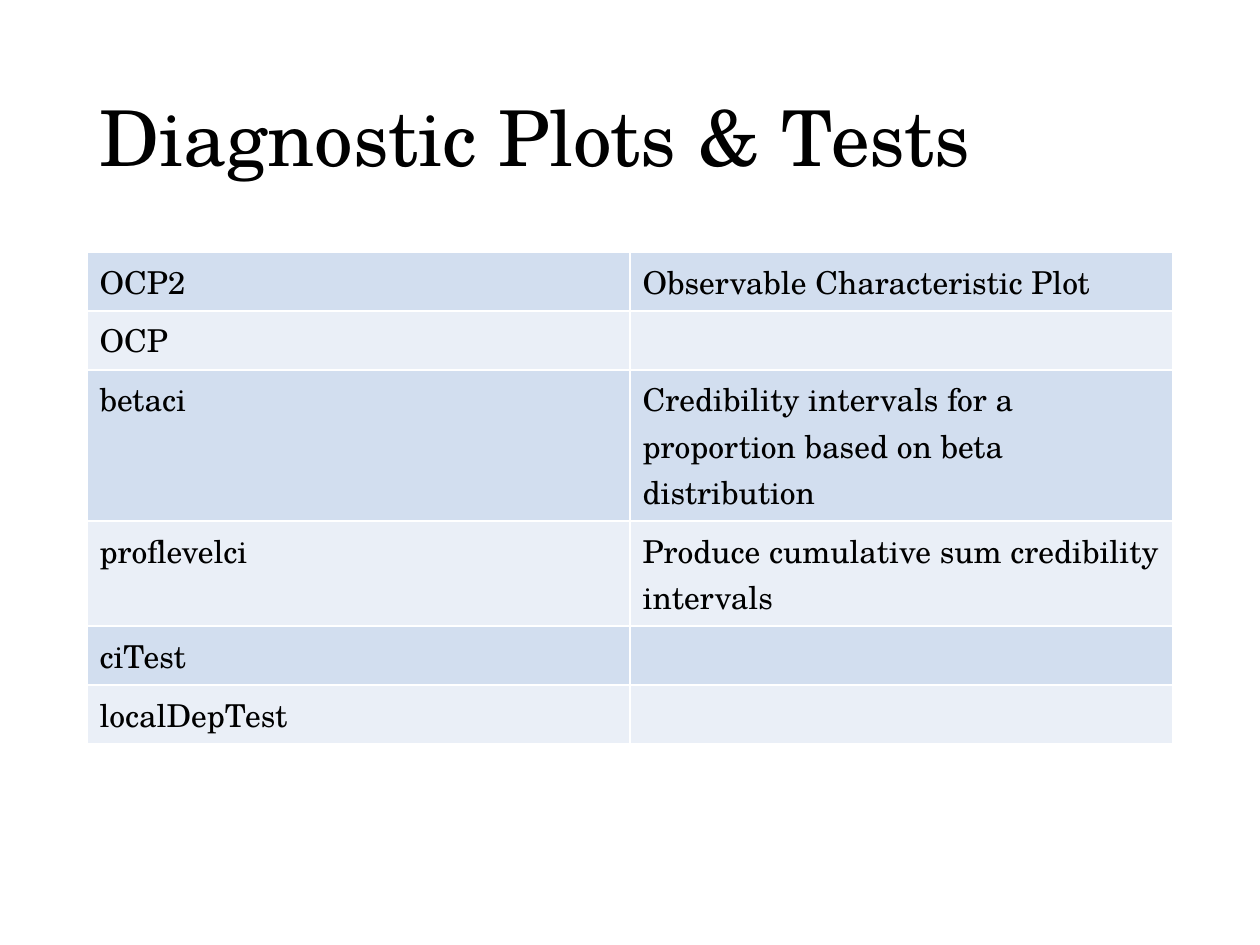
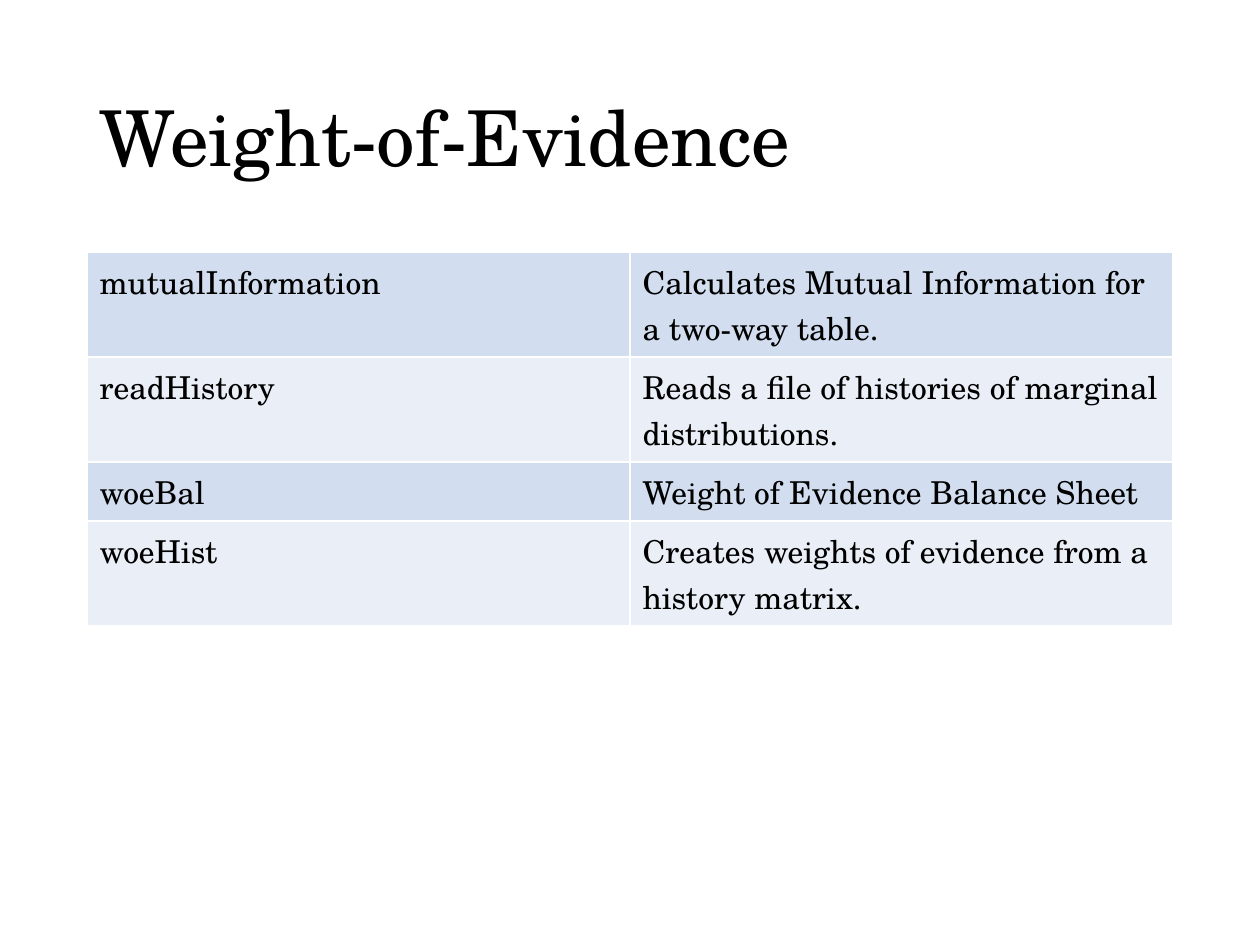
from dataclasses import dataclass

from lxml.etree import SubElement
from pptx import Presentation
from pptx.dml.color import RGBColor as RGB
from pptx.enum.text import MSO_ANCHOR as ANCHOR, MSO_AUTO_SIZE as AUTO, PP_ALIGN as ALIGN
from pptx.oxml.ns import qn
from pptx.util import Inches, Pt


@dataclass(frozen=True)
class Theme:
    font: str = "TeX Gyre Schola"
    title_size: int = 44
    body_size: int = 18
    text: str = "000000"
    border: str = "FFFFFF"
    bands: tuple = ("D2DEEF", "EAEFF7")
    border_width: int = 1
    left: float = 0.69
    width: float = 8.62
    title_top: float = 0.4
    title_height: float = 1.45
    table_top: float = 2
    row_height: float = 0.41


class Deck:
    def __init__(self, theme):
        self.theme = theme
        self.prs = Presentation()
        self.prs.slide_width, self.prs.slide_height = Inches(10), Inches(7.5)
        self.s = None

    def add_slide(self, title):
        self.s = self.prs.slides.add_slide(self.prs.slide_layouts[5])
        self.title(title)

    def run(self, p, text, size):
        r = p.add_run()
        r.text = text
        self.style(r.font, size)

    def style(self, font, size):
        font.name = self.theme.font
        font.size = Pt(size)
        font.color.rgb = RGB.from_string(self.theme.text)

    def title(self, text):
        t = self.theme
        sp = self.s.shapes.title
        sp.left, sp.top = Inches(t.left), Inches(t.title_top)
        sp.width, sp.height = Inches(t.width), Inches(t.title_height)
        tf = sp.text_frame
        tf.word_wrap = True
        tf.auto_size = AUTO.NONE
        tf.vertical_anchor = ANCHOR.MIDDLE
        p = tf.paragraphs[0]
        p.alignment = ALIGN.LEFT
        p.line_spacing = 0.9
        self.run(p, text, t.title_size)

    def table(self, rows):
        t = self.theme
        columns = len(rows[0])
        frame = self.s.shapes.add_table(
            len(rows), columns, Inches(t.left), Inches(t.table_top),
            Inches(t.width), Inches(t.row_height * len(rows)))
        table = frame.table
        table.first_row = table.horz_banding = False
        for column in table.columns:
            column.width = Inches(t.width / columns)
        for i, values in enumerate(rows):
            table.rows[i].height = Inches(t.row_height)
            for j, text in enumerate(values):
                self.cell(table.cell(i, j), text, t.bands[i % len(t.bands)])

    def cell(self, cell, text, fill):
        self.borders(cell)
        cell.fill.solid()
        cell.fill.fore_color.rgb = RGB.from_string(fill)
        p = cell.text_frame.paragraphs[0]
        if text:
            self.run(p, text, self.theme.body_size)
        else:
            self.style(p.font, self.theme.body_size)

    def borders(self, cell):
        tc_pr = cell._tc.get_or_add_tcPr()
        for side in ("lnL", "lnR", "lnT", "lnB"):
            line = SubElement(tc_pr, qn(f"a:{side}"), w=str(Pt(self.theme.border_width)))
            fill = SubElement(line, qn("a:solidFill"))
            SubElement(fill, qn("a:srgbClr"), val=self.theme.border)


SLIDES = {
    "Diagnostic Plots & Tests": [
        ("OCP2", "Observable Characteristic Plot"),
        ("OCP", ""),
        ("betaci", "Credibility intervals for a proportion based on beta distribution"),
        ("proflevelci", "Produce cumulative sum credibility intervals"),
        ("ciTest", ""),
        ("localDepTest", ""),
    ],
    "Weight-of-Evidence": [
        ("mutualInformation", "Calculates Mutual Information for a two-way table."),
        ("readHistory", "Reads a file of histories of marginal distributions."),
        ("woeBal", "Weight of Evidence Balance Sheet"),
        ("woeHist", "Creates weights of evidence from a history matrix."),
    ],
}

deck = Deck(Theme())
for title, rows in SLIDES.items():
    deck.add_slide(title)
    deck.table(rows)
deck.prs.save("out.pptx")
